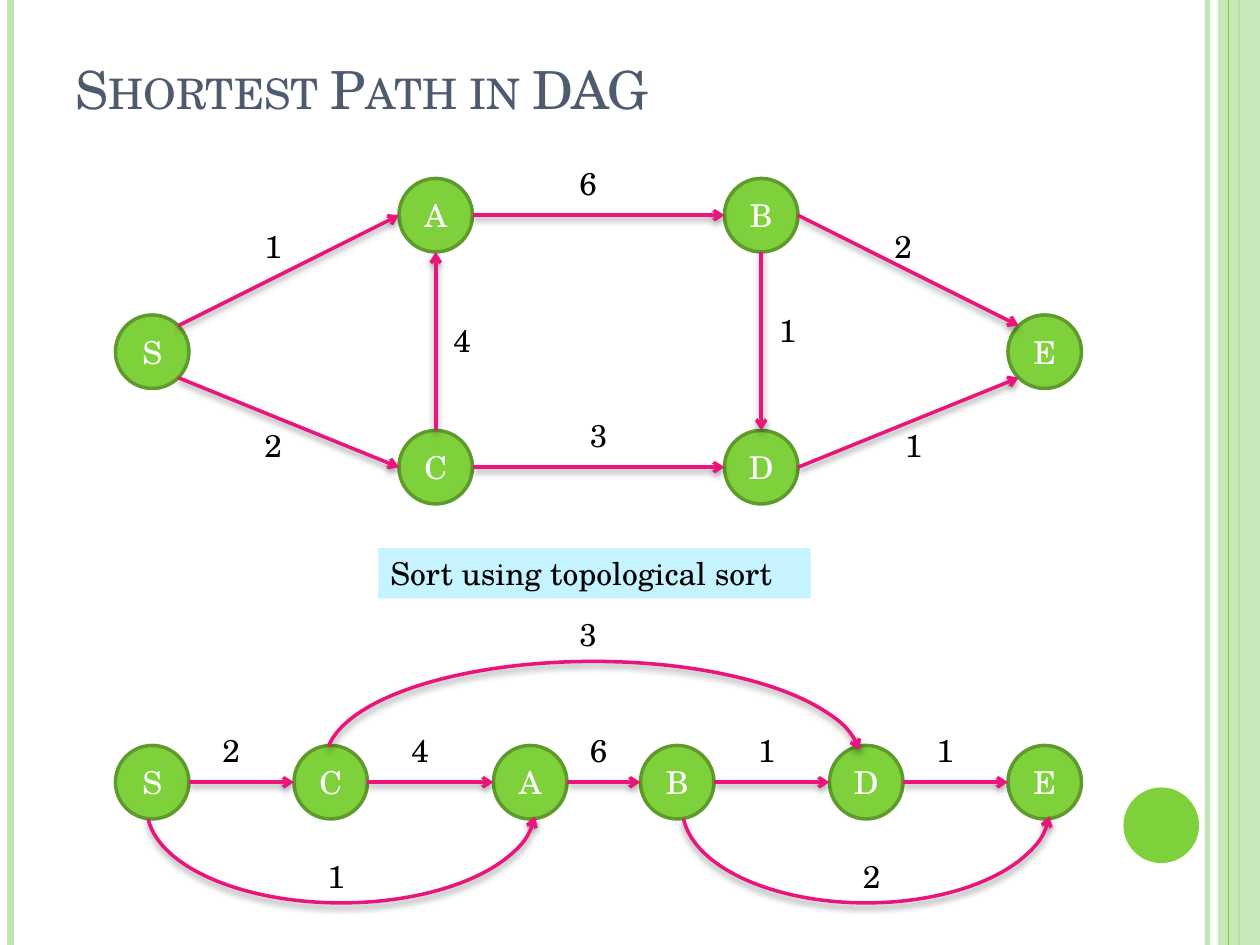
"""Builds the slide on the shortest path in a DAG."""
from math import sqrt

from lxml.etree import SubElement
from pptx import Presentation
from pptx.dml.color import RGBColor
from pptx.enum.shapes import MSO_CONNECTOR, MSO_SHAPE
from pptx.enum.text import MSO_ANCHOR, MSO_AUTO_SIZE, PP_ALIGN
from pptx.oxml.ns import qn
from pptx.util import Inches, Pt

COLORS = {"band": "C0E5AF", "node": "7FD13B", "rim": "5E9B2C", "edge": "EA157A",
          "title": "4E5B6F", "note": "C5F3FF", "white": "FFFFFF", "black": "000000"}
FONT = "TeX Gyre Schola"
WIDTH, HEIGHT = 120, 90
NODE = 7
LABEL = (4.32, 4.8)

TITLE = "Shortest Path in DAG"
NOTE = "Sort using topological sort"
RULES = [(115, "band", 3, 93), (1, "band", 4.5, 100), (118, "node", 1.5, 100)]
INNER_RULE = (117, "node", 0.75, 100)

GRAPH = {
    "nodes": {"S": (11, 30), "A": (38, 17), "C": (38, 41),
              "B": (69, 17), "D": (69, 41), "E": (96, 30)},
    "edges": [("S", "upper right", "A", "left", "1", (24, 21)),
              ("S", "lower right", "C", "left", "2", (24, 40)),
              ("A", "right", "B", "left", "6", (54, 15)),
              ("C", "right", "D", "left", "3", (55, 39)),
              ("C", "top", "A", "bottom", "4", (42, 30)),
              ("B", "bottom", "D", "top", "1", (73, 29)),
              ("B", "right", "E", "upper left", "2", (84, 21)),
              ("D", "right", "E", "lower left", "1", (85, 40))],
    "arcs": [],
}
ORDER_ROW = 71
ORDER = [("S", 11), ("C", 28), ("A", 47), ("B", 61), ("D", 79), ("E", 96)]
ORDER_WEIGHTS = [("2", 20), ("4", 38), ("6", 55), ("1", 71), ("1", 88)]
SORTED = {
    "nodes": {name: (column, ORDER_ROW) for name, column in ORDER},
    "edges": [(start, "right", end, "left", weight, (column, ORDER_ROW - 2))
              for (start, _), (end, _), (weight, column)
              in zip(ORDER, ORDER[1:], ORDER_WEIGHTS)],
    "arcs": [((14, 68, 37, 18), True, "1", (30, 81)),
             ((31, 63, 51, 19), False, "3", (54, 58)),
             ((65, 68, 35, 18), True, "2", (81, 81))],
}
DIAGONAL = sqrt(0.5)
SIDES = {"top": (0, -1), "bottom": (0, 1), "left": (-1, 0), "right": (1, 0),
         "upper left": (-DIAGONAL, -DIAGONAL), "upper right": (DIAGONAL, -DIAGONAL),
         "lower left": (-DIAGONAL, DIAGONAL), "lower right": (DIAGONAL, DIAGONAL)}
GROWING = {"word_wrap": False, "auto_size": MSO_AUTO_SIZE.SHAPE_TO_FIT_TEXT}
CENTERED = {"word_wrap": True, "vertical_anchor": MSO_ANCHOR.MIDDLE}


def grid(*cells):
    return [Inches(cell / 12) for cell in cells]


def rgb(name):
    return RGBColor.from_string(COLORS[name])


def write(box, text, color, frame_format, size=18, align=PP_ALIGN.LEFT):
    for key, value in frame_format.items():
        setattr(box.text_frame, key, value)
    paragraph = box.text_frame.paragraphs[0]
    paragraph.alignment = align
    run = paragraph.add_run()
    run.text = text
    for key, value in {"name": FONT, "size": Pt(size)}.items():
        setattr(run.font, key, value)
    run.font.color.rgb = rgb(color)
    return run


def fade(fill, percent):
    color = next(fill.iter(qn("a:srgbClr")))
    SubElement(color, qn("a:alpha"), val=str(percent * 1000))


def outline(item, color, width):
    item.line.color.rgb = rgb(color)
    item.line.width = Pt(width)


def solid(shapes, kind, box, color):
    shape = shapes.add_shape(kind, *grid(*box))
    shape.shadow.inherit = False
    shape.fill.solid()
    shape.fill.fore_color.rgb = rgb(color)
    shape.line.fill.background()
    return shape


def add_rule(shapes, column, color, width, opacity):
    rule = shapes.add_connector(MSO_CONNECTOR.STRAIGHT, *grid(column, 0, column, HEIGHT))
    outline(rule, color, width)
    fade(rule.line._ln, opacity)
    SubElement(rule._element.spPr, qn("a:effectLst"))


def make_arrow(item):
    outline(item, "edge", 2)
    SubElement(item.line._ln, qn("a:tailEnd"), type="arrow")
    effects = SubElement(item._element.spPr, qn("a:effectLst"))
    shadow = SubElement(effects, qn("a:outerShdw"), blurRad=str(Pt(4)), dist=str(Pt(2)),
                        dir="5400000", rotWithShape="0")
    black = SubElement(shadow, qn("a:srgbClr"), val=COLORS["black"])
    SubElement(black, qn("a:alpha"), val="40000")


def add_weight(shapes, weight, corner):
    write(shapes.add_textbox(*grid(*corner, *LABEL)), weight, "black", GROWING)


def anchor(corner, side):
    return [start + NODE / 2 * (1 + shift) for start, shift in zip(corner, SIDES[side])]


def add_graph(shapes, nodes, edges, arcs):
    for name, corner in nodes.items():
        node = solid(shapes, MSO_SHAPE.OVAL, (*corner, NODE, NODE), "node")
        outline(node, "rim", 2)
        write(node, name, "white", CENTERED, align=PP_ALIGN.CENTER)
    for start, start_side, end, end_side, weight, corner in edges:
        ends = anchor(nodes[start], start_side) + anchor(nodes[end], end_side)
        make_arrow(shapes.add_connector(MSO_CONNECTOR.STRAIGHT, *grid(*ends)))
        add_weight(shapes, weight, corner)
    for box, below, weight, corner in arcs:
        arc = shapes.add_shape(MSO_SHAPE.ARC, *grid(*box))
        arc.adjustments[0], arc.adjustments[1] = 109.92, 214.59
        arc.fill.background()
        if below:
            arc._element.spPr.find(qn("a:xfrm")).set("flipV", "1")
        make_arrow(arc)
        add_weight(shapes, weight, corner)


def main():
    deck = Presentation()
    deck.slide_width, deck.slide_height = grid(WIDTH, HEIGHT)
    shapes = deck.slides.add_slide(deck.slide_layouts[6]).shapes

    for rule in RULES:
        add_rule(shapes, *rule)
    band = solid(shapes, MSO_SHAPE.RECTANGLE, (116, 0, 4, HEIGHT), "band")
    fade(band._element.spPr, 87)
    add_rule(shapes, *INNER_RULE)
    solid(shapes, MSO_SHAPE.OVAL, (107, 75, 7.2, 7.2), "node")

    heading = shapes.add_textbox(*grid(6, 3.6, 98, 8.4))
    run = write(heading, TITLE, "title",
                {"word_wrap": True, "vertical_anchor": MSO_ANCHOR.BOTTOM}, size=30)
    run.font._element.set("cap", "small")

    add_graph(shapes, **SORTED)
    add_graph(shapes.add_group_shape().shapes, **GRAPH)
    note = solid(shapes, MSO_SHAPE.RECTANGLE, (36, 52.2, 41.2, 4.8), "note")
    write(note, NOTE, "black", {**GROWING, "vertical_anchor": MSO_ANCHOR.TOP})
    deck.save("out.pptx")


if __name__ == "__main__":
    main()
